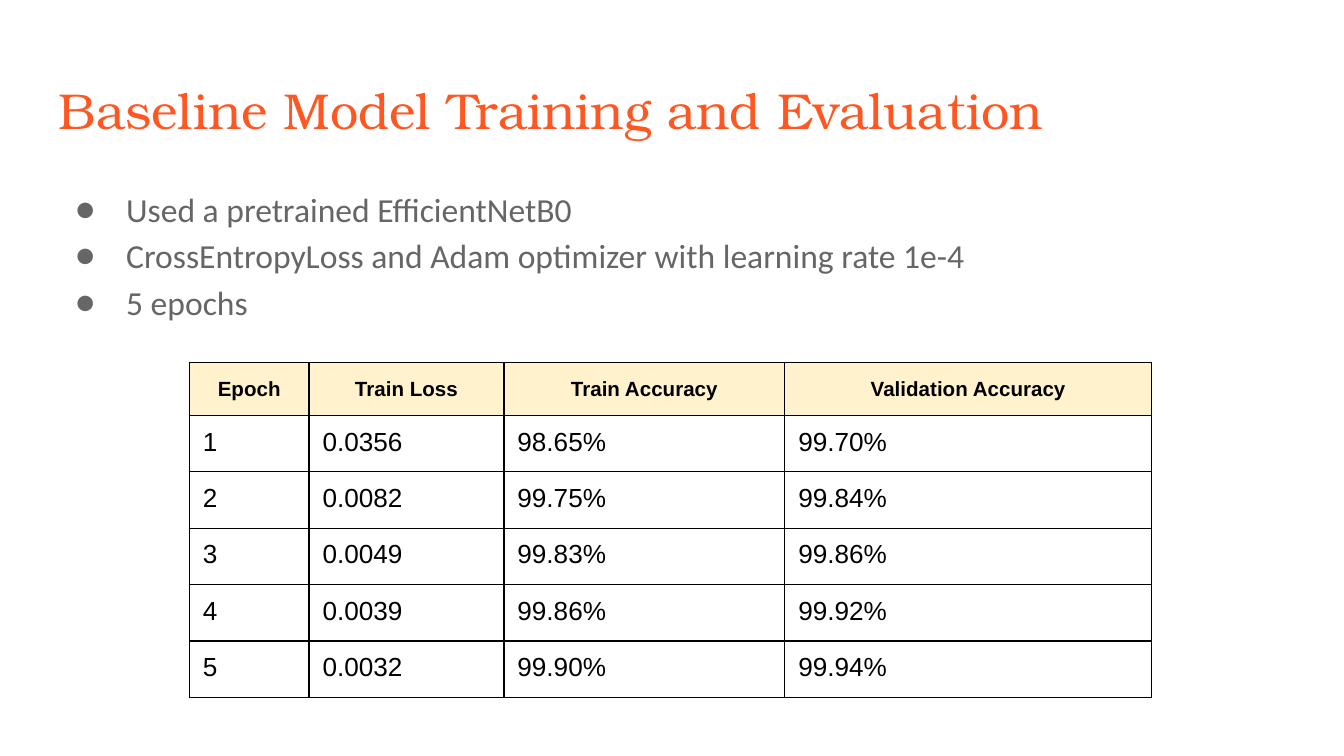
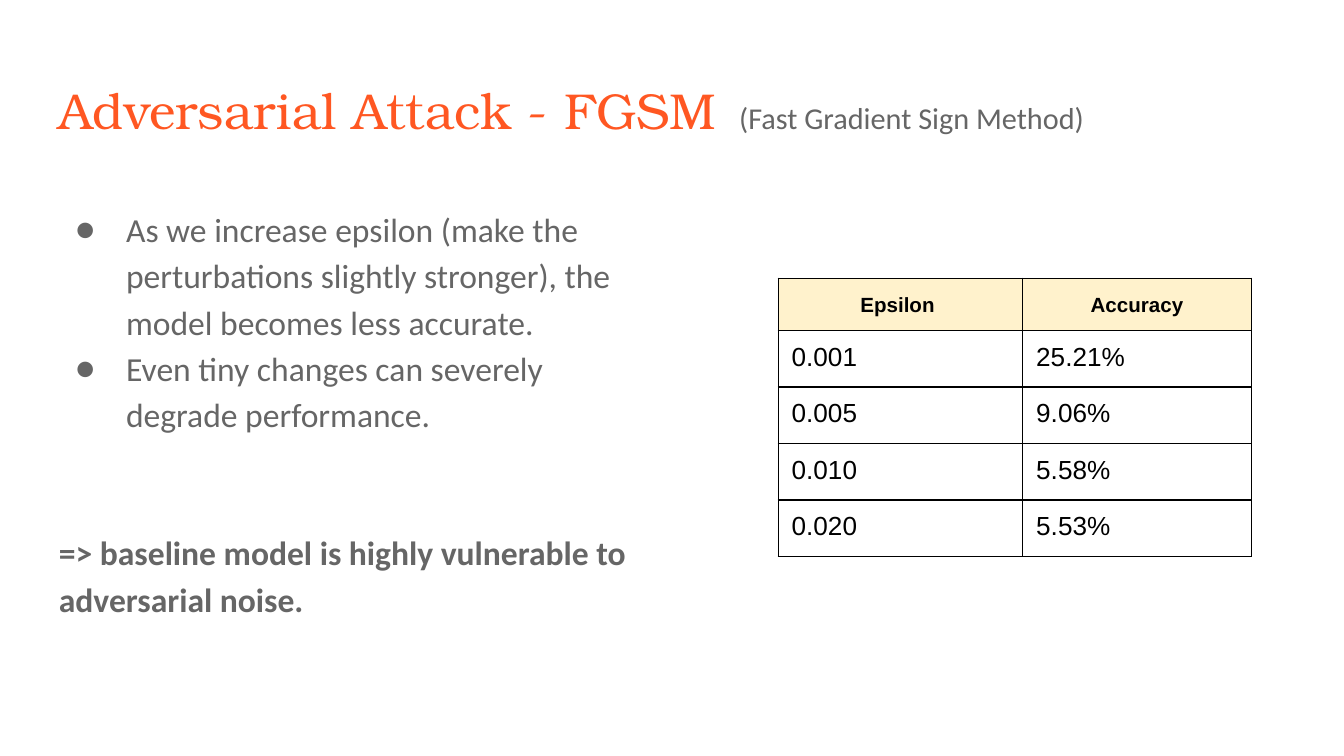
from dataclasses import dataclass

from lxml import etree
from pptx import Presentation
from pptx.dml.color import RGBColor
from pptx.enum.text import MSO_ANCHOR, PP_ALIGN
from pptx.oxml.ns import qn
from pptx.util import Inches, Pt

CENTER, LEFT = PP_ALIGN.CENTER, PP_ALIGN.LEFT
TOP = MSO_ANCHOR.TOP


@dataclass(frozen=True)
class Theme:
    """Colours, fonts, type sizes and spacing shared by the slides."""
    accent: str = "FF5722"
    muted: str = "666666"
    ink: str = "000000"
    header: str = "FFF2CC"
    title_font: str = "TeX Gyre Bonum"
    body_font: str = "Calibri"
    table_font: str = "Arial"
    title_size: float = 27
    subtitle_size: float = 16.2
    body_size: float = 18
    header_size: float = 11
    cell_size: float = 14
    border: float = 0.75
    leading: float = 1.15
    inset: float = 0.1
    cell_inset: float = 0.09
    margin: float = 0.34
    slide_width: float = 10
    width: float = 9.32
    header_height: float = 0.39
    row_height: float = 0.42


THEME = Theme()


def add_run(p, text, *, font, size, color, bold=False):
    """Append a formatted run to a paragraph."""
    r = p.add_run()
    r.text = text
    r.font.name = font
    r.font.size = Pt(size)
    r.font.bold = bold
    r.font.color.rgb = RGBColor.from_string(color)


def add_box(s, left, top, width, height):
    """Add a wrapping text box and return its text frame."""
    tf = s.shapes.add_textbox(*map(Inches, (left, top, width, height))).text_frame
    tf.word_wrap = True
    tf.vertical_anchor = TOP
    tf.margin_left = tf.margin_right = Inches(THEME.inset)
    tf.margin_top = tf.margin_bottom = Inches(THEME.inset)
    return tf


def add_title(s, title, subtitle=""):
    """Add the slide title with an optional smaller subtitle beside it."""
    p = add_box(s, THEME.margin, 0.49, THEME.width, 0.63).paragraphs[0]
    add_run(p, title, font=THEME.title_font, size=THEME.title_size, color=THEME.accent)
    if subtitle:
        add_run(p, subtitle, font=THEME.body_font, size=THEME.subtitle_size,
                color=THEME.muted)


def set_bullet(p):
    """Give a paragraph a hanging round bullet."""
    pPr = p._p.get_or_add_pPr()
    pPr.set("marL", str(Inches(0.5)))
    pPr.set("indent", str(Inches(-0.38)))
    color = etree.SubElement(pPr, qn("a:buClr"))
    etree.SubElement(color, qn("a:srgbClr")).set("val", THEME.muted)
    etree.SubElement(pPr, qn("a:buFont")).set("typeface", THEME.body_font)
    etree.SubElement(pPr, qn("a:buChar")).set("char", "●")


def add_body(s, top, width, bullets, conclusion=""):
    """Add a bulleted list with an optional bold conclusion below."""
    tf = add_box(s, THEME.margin, top, width, 3.74)
    style = dict(font=THEME.body_font, size=THEME.body_size, color=THEME.muted)
    for i, text in enumerate(bullets):
        p = tf.add_paragraph() if i else tf.paragraphs[0]
        p.line_spacing = THEME.leading
        set_bullet(p)
        add_run(p, text, **style)
    if conclusion:
        p = tf.add_paragraph()
        p.line_spacing = THEME.leading
        p.space_before = Pt(49)
        add_run(p, conclusion, bold=True, **style)


def set_borders(cell):
    """Draw a thin line on all four sides of a cell."""
    tcPr = cell._tc.get_or_add_tcPr()
    for i, side in enumerate(("lnL", "lnR", "lnT", "lnB")):
        ln = etree.Element(qn(f"a:{side}"), w=str(Pt(THEME.border)))
        fill = etree.SubElement(ln, qn("a:solidFill"))
        etree.SubElement(fill, qn("a:srgbClr")).set("val", THEME.ink)
        tcPr.insert(i, ln)


def fill_cell(cell, text, is_header):
    """Write and format one table cell."""
    cell.margin_left = cell.margin_right = Inches(THEME.inset)
    cell.margin_top = cell.margin_bottom = Inches(THEME.cell_inset)
    if is_header:
        cell.fill.solid()
        cell.fill.fore_color.rgb = RGBColor.from_string(THEME.header)
    else:
        cell.fill.background()
    set_borders(cell)
    p = cell.text_frame.paragraphs[0]
    p.alignment = CENTER if is_header else LEFT
    if is_header:
        p.line_spacing = THEME.leading
    add_run(p, text, font=THEME.table_font, color=THEME.ink, bold=is_header,
            size=THEME.header_size if is_header else THEME.cell_size)


def add_data_table(s, left, top, widths, rows):
    """Add a bordered table whose first row is the header."""
    heights = [THEME.header_height] + [THEME.row_height] * (len(rows) - 1)
    size = map(Inches, (left, top, sum(widths), sum(heights)))
    table = s.shapes.add_table(len(rows), len(widths), *size).table
    table.horz_banding = False
    for column, width in zip(table.columns, widths):
        column.width = Inches(width)
    for i, (row, height) in enumerate(zip(table.rows, heights)):
        row.height = Inches(height)
        for cell, text in zip(row.cells, rows[i]):
            fill_cell(cell, text, is_header=i == 0)


def build_training(s):
    """Build the baseline training slide."""
    add_title(s, "Baseline Model Training and Evaluation")
    add_body(s, 1.26, THEME.width, [
        "Used a pretrained EfficientNetB0",
        "CrossEntropyLoss and Adam optimizer with learning rate 1e-4",
        "5 epochs",
    ])
    add_data_table(s, 1.41, 2.7, [0.89, 1.45, 2.09, 2.73], [
        ("Epoch", "Train Loss", "Train Accuracy", "Validation Accuracy"),
        ("1", "0.0356", "98.65%", "99.70%"),
        ("2", "0.0082", "99.75%", "99.84%"),
        ("3", "0.0049", "99.83%", "99.86%"),
        ("4", "0.0039", "99.86%", "99.92%"),
        ("5", "0.0032", "99.90%", "99.94%"),
    ])


def build_attack(s):
    """Build the adversarial attack slide."""
    add_title(s, "Adversarial Attack - FGSM ", " (Fast Gradient Sign Method)")
    add_data_table(s, 5.79, 2.07, [1.82, 1.7], [
        ("Epsilon ", "Accuracy"),
        ("0.001", "25.21%"),
        ("0.005", "9.06%"),
        ("0.010", "5.58%"),
        ("0.020", "5.53%"),
    ])
    add_body(s, 1.41, THEME.width / 2, [
        "As we increase epsilon (make the perturbations slightly stronger), "
        "the model becomes less accurate.",
        "Even tiny changes can severely degrade performance.",
    ], "=> baseline model is highly vulnerable to adversarial noise.")


def main():
    """Build and save the presentation."""
    prs = Presentation()
    prs.slide_width = Inches(THEME.slide_width)
    prs.slide_height = Inches(THEME.slide_width * 9 / 16)
    for build in (build_training, build_attack):
        build(prs.slides.add_slide(prs.slide_layouts[6]))
    prs.save("out.pptx")


if __name__ == "__main__":
    main()
